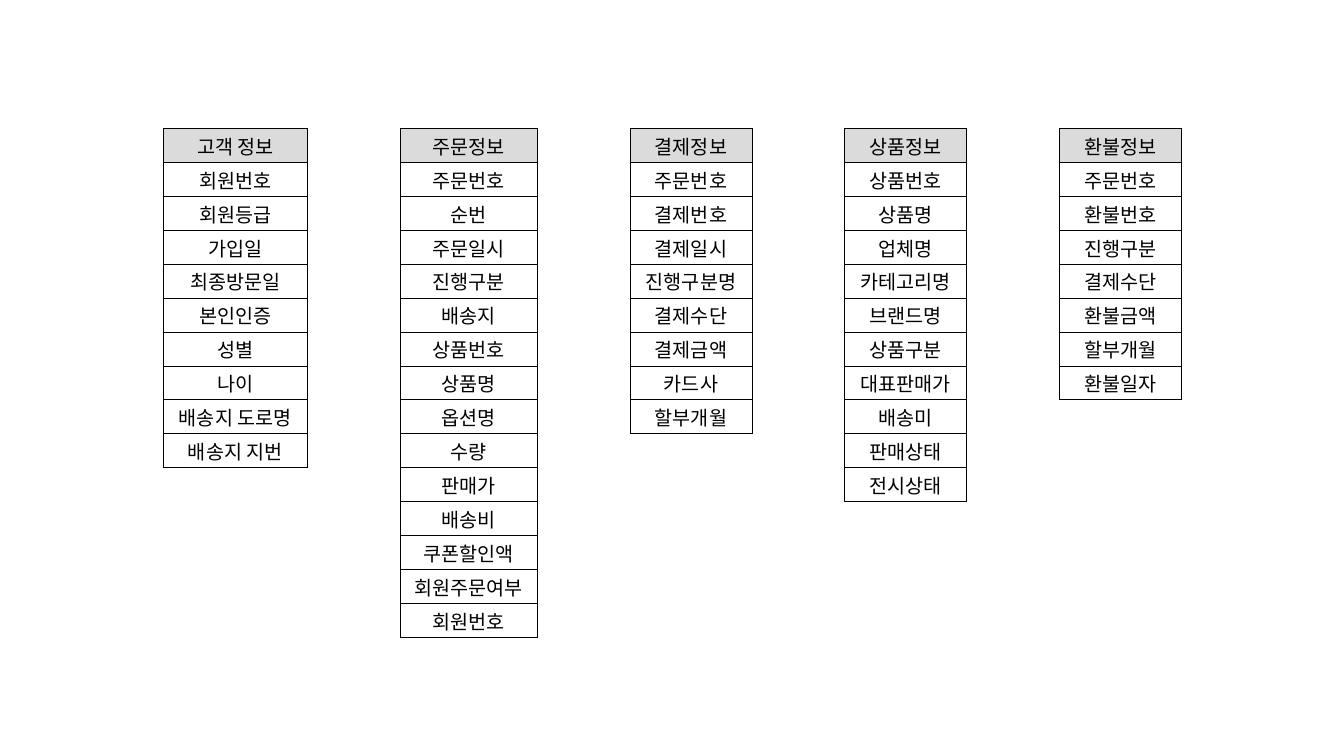
from lxml import etree
from pptx import Presentation
from pptx import util as u
from pptx.dml.color import RGBColor
from pptx.enum import text
from pptx.oxml.ns import qn

FONT = "Noto Sans CJK KR"
BLACK, HEADER_GRAY = "000000", "DBDBDB"
NO_STYLE = "{2D5ABB26-0587-4C30-8999-92F81FD0307C}"

# Each entity: column width in inches, heading, fields
ENTITIES = [
    (1.43, "고객 정보", ["회원번호", "회원등급", "가입일", "최종방문일", "본인인증",
                      "성별", "나이", "배송지 도로명", "배송지 지번"]),
    (1.36, "주문정보", ["주문번호", "순번", "주문일시", "진행구분", "배송지",
                     "상품번호", "상품명", "옵션명", "수량", "판매가", "배송비",
                     "쿠폰할인액", "회원주문여부", "회원번호"]),
    (1.21, "결제정보", ["주문번호", "결제번호", "결제일시", "진행구분명", "결제수단",
                     "결제금액", "카드사", "할부개월"]),
    (1.21, "상품정보", ["상품번호", "상품명", "업체명", "카테고리명", "브랜드명",
                     "상품구분", "대표판매가", "배송미", "판매상태", "전시상태"]),
    (1.21, "환불정보", ["주문번호", "환불번호", "진행구분", "결제수단", "환불금액",
                     "할부개월", "환불일자"]),
]
LEFT, TOP = 0.7, 0.79
GAP_WIDTH, EDGE_HEIGHT = 0.92, 0.48
FIELDS_HEIGHT = 5.06


def color(hex_string):
    """Turn a hex string into a colour."""
    return RGBColor.from_string(hex_string)


def add_borders(cell, line_color, width):
    """Draw a solid line on all four sides of a cell."""
    properties = cell._tc.get_or_add_tcPr()
    for side in ("a:lnL", "a:lnR", "a:lnT", "a:lnB"):
        line = etree.SubElement(properties, qn(side), w=str(u.Pt(width)))
        solid = etree.SubElement(line, qn("a:solidFill"))
        etree.SubElement(solid, qn("a:srgbClr"), val=line_color)


def write(cell, words, size=14, font=FONT, font_color=BLACK):
    """Put centred, formatted text in a cell."""
    cell.vertical_anchor = text.MSO_ANCHOR.MIDDLE
    paragraph = cell.text_frame.paragraphs[0]
    paragraph.alignment = text.PP_ALIGN.CENTER
    run = paragraph.add_run()
    run.text = words
    run.font.size = u.Pt(size)
    run.font.name = font
    run.font.color.rgb = color(font_color)
    etree.SubElement(run.font._element, qn("a:ea"), typeface=font)


def add_grid(slide, row_count):
    """Add the plain table: a gap around every entity, an edge row above and below."""
    widths = [GAP_WIDTH]
    for width, _, _ in ENTITIES:
        widths += [width, GAP_WIDTH]
    heights = [EDGE_HEIGHT] + [FIELDS_HEIGHT / row_count] * row_count + [EDGE_HEIGHT]
    grid = slide.shapes.add_table(
        len(heights), len(widths), u.Inches(LEFT), u.Inches(TOP),
        u.Inches(sum(widths)), u.Inches(sum(heights))).table
    grid.first_row = grid.horz_banding = False
    grid._tbl.tblPr.find(qn("a:tableStyleId")).text = NO_STYLE
    for column, width in zip(grid.columns, widths):
        column.width = u.Inches(width)
    for row, height in zip(grid.rows, heights):
        row.height = u.Inches(height)
    for cell in grid.iter_cells():
        cell.margin_left = cell.margin_right = cell.margin_top = u.Inches(0.01)
        cell.margin_bottom = 0
        cell.fill.background()
    return grid


def fill_entity(grid, column, heading, fields):
    """Write one entity down its column, heading first."""
    for row, words in enumerate([heading] + fields, start=1):
        cell = grid.cell(row, column)
        # Borders must stand before the fill in the cell properties
        properties = cell._tc.get_or_add_tcPr()
        for child in list(properties):
            properties.remove(child)
        add_borders(cell, BLACK, 0.5)
        if row == 1:
            cell.fill.solid()
            cell.fill.fore_color.rgb = color(HEADER_GRAY)
        else:
            cell.fill.background()
        write(cell, words)


deck = Presentation()
deck.slide_width, deck.slide_height = u.Inches(13.33), u.Inches(7.5)
slide = deck.slides.add_slide(deck.slide_layouts[6])
longest = max(len(fields) for _, _, fields in ENTITIES)
grid = add_grid(slide, longest + 1)
for index, (_, heading, fields) in enumerate(ENTITIES):
    fill_entity(grid, 2 * index + 1, heading, fields)
deck.save("out.pptx")
